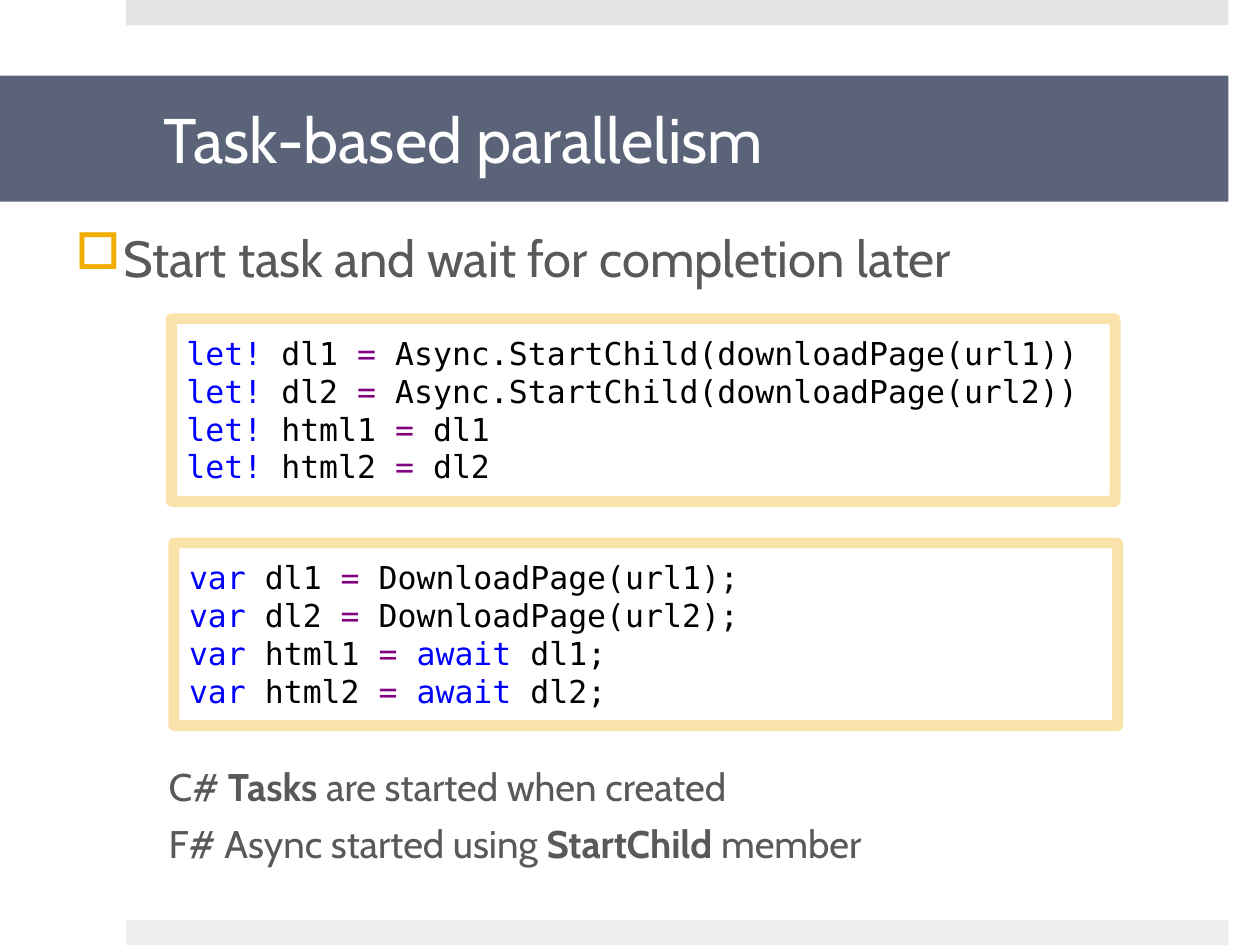
from lxml.etree import SubElement
from pptx import Presentation
from pptx.dml.color import RGBColor
from pptx.enum.shapes import MSO_SHAPE as Shape
from pptx.enum.text import MSO_ANCHOR as Anchor, PP_ALIGN as Align
from pptx.oxml.ns import qn
from pptx.util import Inches, Pt

WHITE = RGBColor(0xFF, 0xFF, 0xFF)
TOP_GRAY = RGBColor(0xE5, 0xE5, 0xE6)
BOTTOM_GRAY = RGBColor(0xEE, 0xEE, 0xEF)
SLATE = RGBColor(0x5A, 0x63, 0x78)
GOLD = RGBColor(0xF0, 0xAD, 0x00)
BODY = RGBColor(0x59, 0x59, 0x59)
CODE = RGBColor(0x00, 0x00, 0x00)
KEYWORD = RGBColor(0x00, 0x00, 0xFF)
OPERATOR = RGBColor(0x80, 0x00, 0x80)

TOKEN_COLORS = {"let!": KEYWORD, "var": KEYWORD, "await": KEYWORD, "=": OPERATOR}
FSHARP_LINES = [
    "let! dl1 = Async.StartChild(downloadPage(url1))",
    "let! dl2 = Async.StartChild(downloadPage(url2))",
    "let! html1 = dl1",
    "let! html2 = dl2",
]
CSHARP_LINES = [
    "var dl1 = DownloadPage(url1);",
    "var dl2 = DownloadPage(url2);",
    "var html1 = await dl1;",
    "var html2 = await dl2;",
]
NOTES = [
    [("C# ", False), ("Tasks", True), (" are started when created", False)],
    [("F# Async started using ", False), ("StartChild", True), (" member", False)],
]


def add_span(para, text, size=22, color=BODY, font="Cabin", bold=False):
    span = para.add_run()
    span.text = text
    span.font.size = Pt(size)
    span.font.name = font
    span.font.bold = bold
    span.font.color.rgb = color


def set_frame(shape, left=0.1, top=0.05, right=0.1, bottom=0.05, anchor=Anchor.TOP):
    frame = shape.text_frame
    frame.word_wrap = True
    frame.vertical_anchor = anchor
    frame.margin_left, frame.margin_right = Inches(left), Inches(right)
    frame.margin_top, frame.margin_bottom = Inches(top), Inches(bottom)
    return frame


def add_paragraphs(frame, count):
    paras = [frame.paragraphs[0]] + [frame.add_paragraph() for _ in range(count - 1)]
    for para in paras:
        para.alignment = Align.LEFT
    return paras


def add_box(page, *place, fill=None):
    box = page.shapes.add_shape(Shape.RECTANGLE, *map(Inches, place))
    box.shadow.inherit = False
    box.line.fill.background()
    if fill is None:
        box.fill.background()
    else:
        box.fill.solid()
        box.fill.fore_color.rgb = fill
    return box


def add_title(page, text):
    bar = add_box(page, 0, 0.6, 9.75, 1, fill=SLATE)
    frame = set_frame(bar, left=1.3, right=0.3, anchor=Anchor.MIDDLE)
    add_span(add_paragraphs(frame, 1)[0], text, size=36, color=WHITE)


def add_bullet(para, symbol, color, indent):
    props = para._p.get_or_add_pPr()
    props.set("marL", str(indent))
    props.set("indent", str(-indent))
    bullet_color = SubElement(props, qn("a:buClr"))
    SubElement(bullet_color, qn("a:srgbClr"), val=str(color))
    SubElement(props, qn("a:buChar"), char=symbol)


def add_heading(page, text):
    box = page.shapes.add_textbox(*map(Inches, (0.5, 1.75, 9, 0.6)))
    para = add_paragraphs(set_frame(box), 1)[0]
    add_bullet(para, "□", GOLD, Inches(0.38))
    add_span(para, text, size=29)


def add_code(page, left, top, lines):
    box = add_box(page, left, top, 7.49, 1.45)
    box.line.color.rgb = GOLD
    box.line.width = Pt(6.25)
    line = box.line._get_or_add_ln()
    SubElement(line.find(".//" + qn("a:srgbClr")), qn("a:alpha"), val="32000")
    SubElement(line, qn("a:round"))
    frame = set_frame(box, 0.12, 0.12, 0.12, 0.12)
    for para, code in zip(add_paragraphs(frame, len(lines)), lines):
        tokens = code.split(" ")
        for index, token in enumerate(tokens):
            gap = " " if index < len(tokens) - 1 else ""
            color = TOKEN_COLORS.get(token, CODE)
            add_span(para, token + gap, size=18, color=color, font="DejaVu Sans Mono")


def add_notes(page, notes):
    box = page.shapes.add_textbox(*map(Inches, (1.24, 6.01, 8.26, 0.95)))
    for index, (para, spans) in enumerate(zip(add_paragraphs(set_frame(box), len(notes)), notes)):
        para.space_before = Pt(6 if index else 0)
        for text, bold in spans:
            add_span(para, text, bold=bold)


def main():
    deck = Presentation()
    deck.slide_width, deck.slide_height = Inches(10), Inches(7.5)
    page = deck.slides.add_slide(deck.slide_layouts[6])
    add_box(page, 1, 0, 8.75, 0.2, fill=TOP_GRAY)
    add_box(page, 1, 7.3, 8.75, 0.2, fill=BOTTOM_GRAY)
    add_title(page, "Task-based parallelism")
    add_heading(page, "Start task and wait for completion later")
    add_code(page, 1.36, 2.53, FSHARP_LINES)
    add_code(page, 1.38, 4.31, CSHARP_LINES)
    add_notes(page, NOTES)
    deck.save("out.pptx")


if __name__ == "__main__":
    main()
